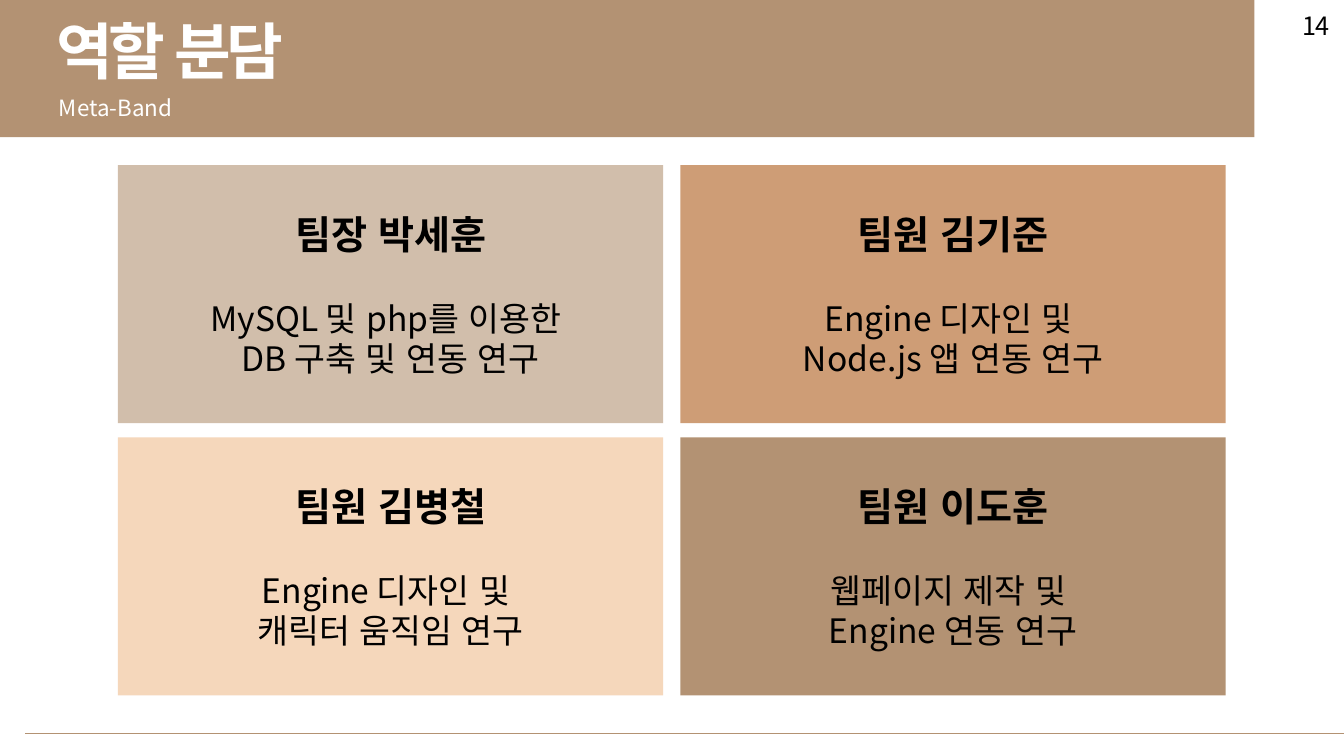
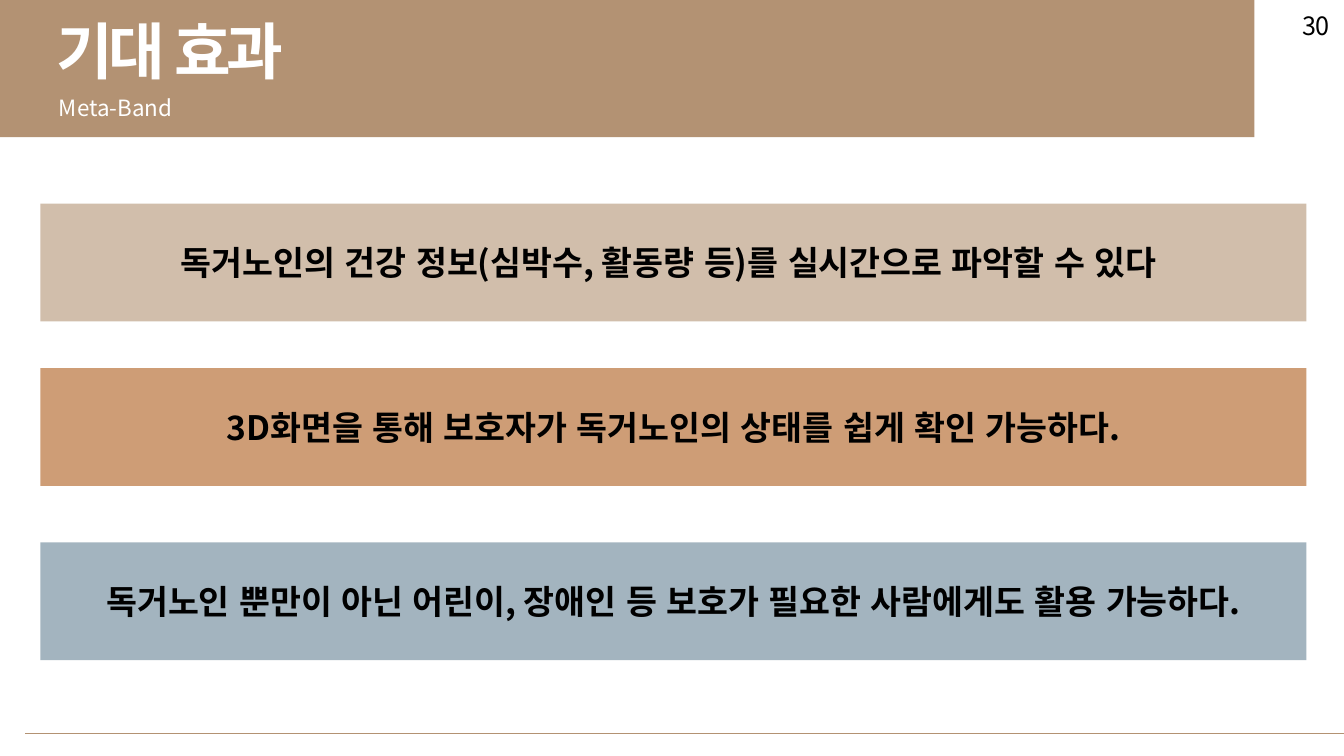
from pptx import Presentation
from pptx.dml.color import RGBColor as Rgb
from pptx.enum.lang import MSO_LANGUAGE_ID as Lang
from pptx.enum.shapes import MSO_CONNECTOR as Conn, MSO_SHAPE as Kind
from pptx.enum.text import MSO_ANCHOR as Anchor, MSO_AUTO_SIZE as Fit, PP_ALIGN as Align
from pptx.oxml.ns import qn
from pptx.util import Pt
from lxml import etree

FONT = "Noto Sans CJK KR"
HUES = {
    "brown": "B39273",
    "sand": "D1BEAB",
    "clay": "CE9D76",
    "peach": "F5D7BB",
    "slate": "A3B4BF",
    "white": "FFFFFF",
    "black": "000000",
}
WIDE, HIGH = 960, 540


def hue(name):
    return Rgb.from_string(HUES[name])


def put(para, text, size=24, bold=False, color="black", align=Align.CENTER, track=0, before=0):
    para.alignment = align
    if before:
        para.space_before = Pt(before)
    run = para.add_run()
    run.text = text
    font = run.font
    font.name, font.size, font.bold = FONT, Pt(size), bold
    font.color.rgb = hue(color)
    font.language_id = Lang.KOREAN
    props = run._r.get_or_add_rPr()
    if track:
        props.set("spc", str(track * 100))
    east = etree.Element(qn("a:ea"), typeface=FONT)
    props.find(qn("a:latin")).addnext(east)


def label(slide, box, text, wrap=False, **style):
    frame = slide.shapes.add_textbox(*map(Pt, box)).text_frame
    frame.word_wrap = wrap
    frame.auto_size = Fit.SHAPE_TO_FIT_TEXT
    put(frame.paragraphs[0], text, **style)


def block(slide, box, fill):
    shape = slide.shapes.add_shape(Kind.RECTANGLE, *map(Pt, box))
    shape.shadow.inherit = False
    shape.fill.solid()
    shape.fill.fore_color.rgb = hue(fill)
    shape.line.fill.background()
    frame = shape.text_frame
    frame.word_wrap = True
    frame.vertical_anchor = Anchor.MIDDLE
    return frame


def rule(slide, left, top, right):
    line = slide.shapes.add_connector(Conn.STRAIGHT, Pt(left), Pt(top), Pt(right), Pt(top))
    line.line.color.rgb = hue("brown")
    line.line.width = Pt(0.5)
    etree.SubElement(line._element.spPr, qn("a:effectLst"))


def base(deck, title, page):
    slide = deck.slides.add_slide(deck.slide_layouts[6])
    block(slide, (0, 0, 896, 98), "brown")
    left = {"color": "white", "align": Align.LEFT}
    label(slide, (33, 6, 193, 60.5), title, size=44, bold=True, track=-3, **left)
    label(slide, (35, 64, 96, 26.6), "Meta-Band", size=16, **left)
    label(slide, (920, 3.6, 40, 29), str(page), wrap=True, size=18)
    rule(slide, 18, 524, WIDE)
    return slide


def card(slide, box, fill, name, tasks):
    frame = block(slide, box, fill)
    put(frame.paragraphs[0], name, size=28, bold=True)
    for i, task in enumerate(tasks):
        put(frame.add_paragraph(), task, before=0 if i else 29)


def roles(slide, box, cards, gaps=(12.2, 10.2)):
    x, y, w, h = box
    wide, high = (w - gaps[0]) / 2, (h - gaps[1]) / 2
    for i, data in enumerate(cards):
        row, col = divmod(i, 2)
        spot = (x + col * (wide + gaps[0]), y + row * (high + gaps[1]), wide, high)
        card(slide, spot, *data)


def bars(slide, box, items, high=84.2):
    x, y, w = box
    for top, fill, text in items:
        frame = block(slide, (x, y + top, w, high), fill)
        put(frame.paragraphs[0], text, bold=True)


def main():
    deck = Presentation()
    deck.slide_width, deck.slide_height = Pt(WIDE), Pt(HIGH)
    roles(base(deck, "역할 분담", 14), (84.2, 118, 791.4, 378.8), [
        ("sand", "팀장 박세훈", ["MySQL 및 php를 이용한 ", "DB 구축 및 연동 연구"]),
        ("clay", "팀원 김기준", ["Engine 디자인 및 ", "Node.js 앱 연동 연구"]),
        ("peach", "팀원 김병철", ["Engine 디자인 및 ", "캐릭터 움직임 연구"]),
        ("brown", "팀원 이도훈", ["웹페이지 제작 및 ", "Engine 연동 연구"]),
    ])
    bars(base(deck, "기대 효과", 30), (28.8, 145.4, 904.3), [
        (0, "sand", "독거노인의 건강 정보(심박수, 활동량 등)를 실시간으로 파악할 수 있다 "),
        (117.6, "clay", "3D화면을 통해 보호자가 독거노인의 상태를 쉽게 확인 가능하다."),
        (242, "slate", "독거노인 뿐만이 아닌 어린이, 장애인 등 보호가 필요한 사람에게도 활용 가능하다."),
    ])
    deck.save("out.pptx")


if __name__ == "__main__":
    main()
